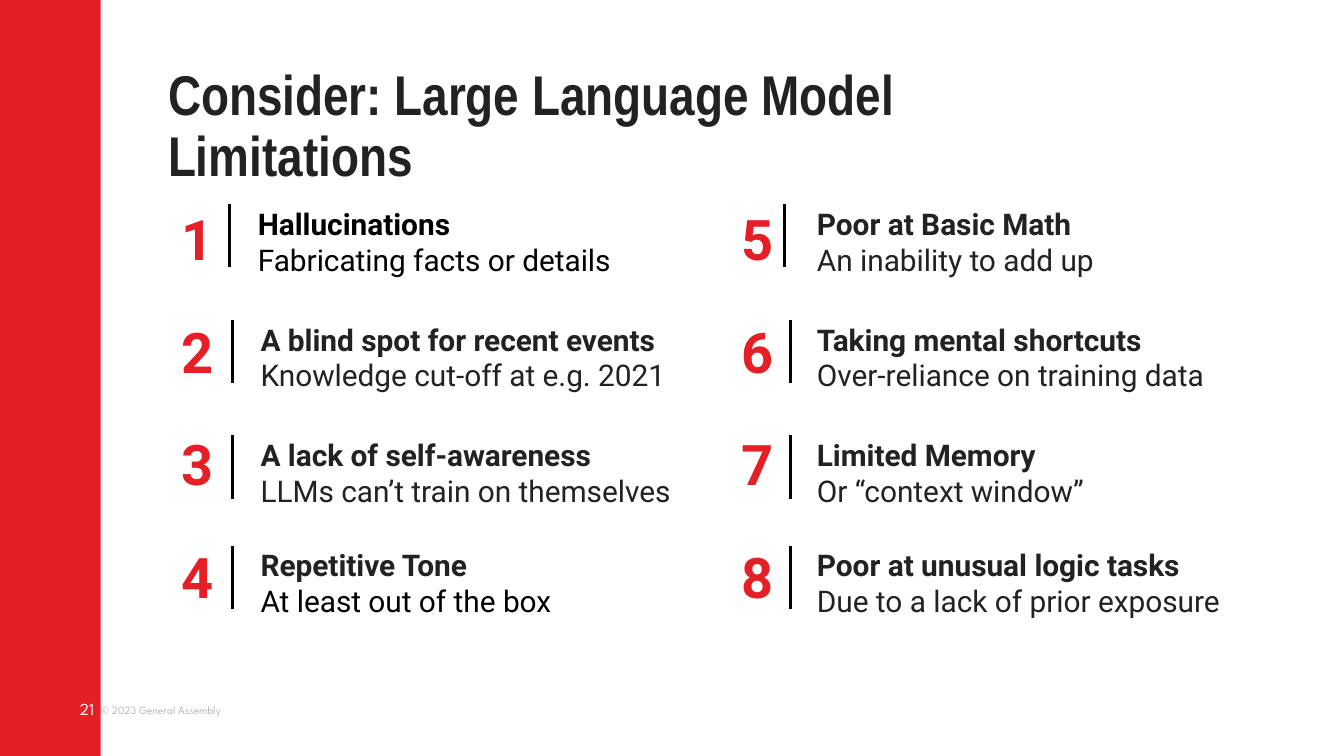
import pptx
import pptx.util
import pptx.dml.color
import pptx.enum.shapes
import pptx.enum.text
import pptx.oxml.ns
import lxml.etree

Inches = pptx.util.Inches
ALIGN = pptx.enum.text.PP_ALIGN
ANCHOR = pptx.enum.text.MSO_ANCHOR
COLORS = {"red": "E41F26", "ink": "222222", "black": "000000", "gray": "B7B7B7", "white": "FFFFFF"}
FORMATS = {
    "title": {"name": "Arial Narrow", "size": pptx.util.Pt(30), "bold": True},
    "number": {"name": "Roboto", "size": pptx.util.Pt(30), "bold": True},
    "heading": {"name": "Roboto", "size": pptx.util.Pt(16), "bold": True},
    "detail": {"name": "Roboto", "size": pptx.util.Pt(16), "bold": False},
    "page_number": {"name": "League Spartan", "size": pptx.util.Pt(9)},
    "copyright": {"name": "League Spartan", "size": pptx.util.Pt(6)},
}


def rgb(color):
    return pptx.dml.color.RGBColor.from_string(COLORS[color])


def add_text(place, lines, inset=0, align=ALIGN.LEFT, anchor=ANCHOR.TOP):
    box = page.shapes.add_textbox(*[Inches(length) for length in place])
    frame = box.text_frame
    frame.word_wrap = True
    frame.vertical_anchor = anchor
    for side in ("left", "top", "right", "bottom"):
        setattr(frame, f"margin_{side}", Inches(inset))
    for index, (text, style, color) in enumerate(lines):
        para = frame.add_paragraph() if index else frame.paragraphs[0]
        para.alignment = align
        span = para.add_run()
        span.text = text
        for key, value in FORMATS[style].items():
            setattr(span.font, key, value)
        span.font.color.rgb = rgb(color)
    return box


deck = pptx.Presentation()
deck.slide_width = Inches(10)
deck.slide_height = deck.slide_width * 9 // 16
page = deck.slides.add_slide(deck.slide_layouts[6])

add_text((0.75, 5.18, 1, 0.2), [("© 2023 General Assembly", "copyright", "gray")], anchor=ANCHOR.MIDDLE)
band = page.shapes.add_shape(
    pptx.enum.shapes.MSO_SHAPE.RECTANGLE, 0, 0, Inches(0.75), deck.slide_height
)
band.shadow.inherit = False
band.fill.solid()
band.fill.fore_color.rgb = rgb("red")
band.line.fill.background()
add_text((0.35, 5.1, 0.35, 0.35), [("21", "page_number", "white")], align=ALIGN.RIGHT, anchor=ANCHOR.MIDDLE)
title = add_text((1.25, 0.5, 6.75, 0.45), [("Consider: Large Language Model Limitations", "title", "ink")])
title.text_frame.paragraphs[0].line_spacing = 0.9

limitations = [
    ("Hallucinations", "Fabricating facts or details", "black", "black"),
    ("A blind spot for recent events", "Knowledge cut-off at e.g. 2021", "ink", "ink"),
    ("A lack of self-awareness", "LLMs can’t train on themselves", "ink", "ink"),
    ("Repetitive Tone", "At least out of the box", "ink", "black"),
    ("Poor at Basic Math", "An inability to add up", "ink", "ink"),
    ("Taking mental shortcuts", "Over-reliance on training data", "ink", "ink"),
    ("Limited Memory", "Or “context window”", "ink", "ink"),
    ("Poor at unusual logic tasks", "Due to a lack of prior exposure", "ink", "ink"),
]
columns = [
    {"number": 1.25, "rule": 1.73, "first_rule": 1.71, "text": 1.84, "first_text": 1.82, "width": 3.68},
    {"number": 5.42, "rule": 5.88, "first_rule": 5.84, "text": 5.98, "first_text": 5.98, "width": 4},
]
text_tops = [1.43, 2.29, 3.15, 3.97]
rule_tops = [1.52, 2.38, 3.24, 4.06]

for index, (heading, detail, heading_color, detail_color) in enumerate(limitations):
    column = columns[index // 4]
    row = index % 4
    prefix = "" if row else "first_"
    add_text(
        (column["number"], 1.42 + 0.84 * row, 0.36, 0.5),
        [(str(index + 1), "number", "red")], inset=0.1, align=ALIGN.CENTER,
    )
    x = Inches(column[prefix + "rule"])
    rule = page.shapes.add_connector(
        pptx.enum.shapes.MSO_CONNECTOR.STRAIGHT,
        x, Inches(rule_tops[row]), x, Inches(rule_tops[row] + 0.47),
    )
    rule.line.color.rgb = rgb("black")
    rule.line.width = pptx.util.Pt(1.5)
    lxml.etree.SubElement(rule._element.spPr, pptx.oxml.ns.qn("a:effectLst"))
    add_text(
        (column[prefix + "text"], text_tops[row], column["width"], 0.66),
        [(heading, "heading", heading_color), (detail, "detail", detail_color)], inset=0.1,
    )

deck.save("out.pptx")
